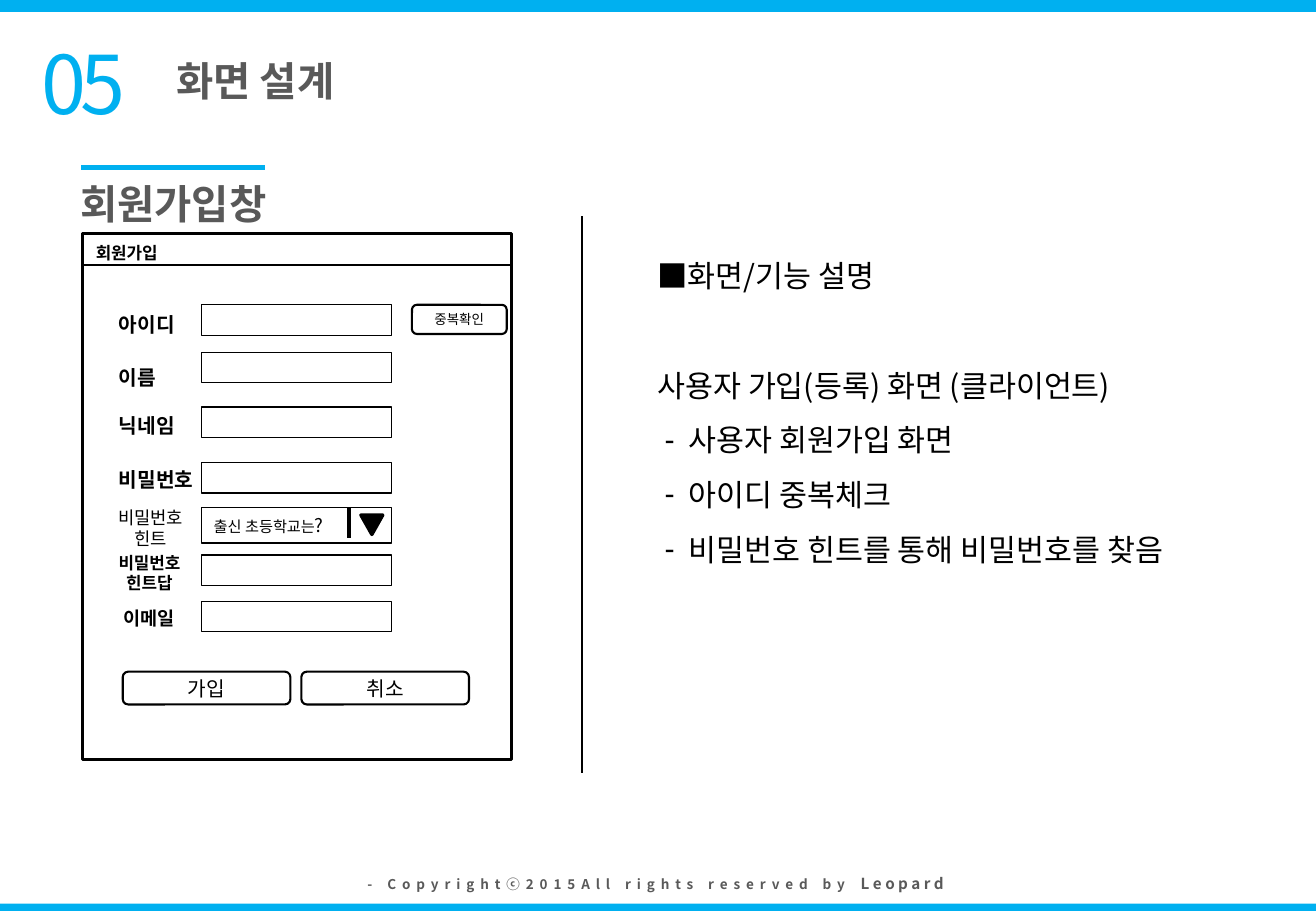
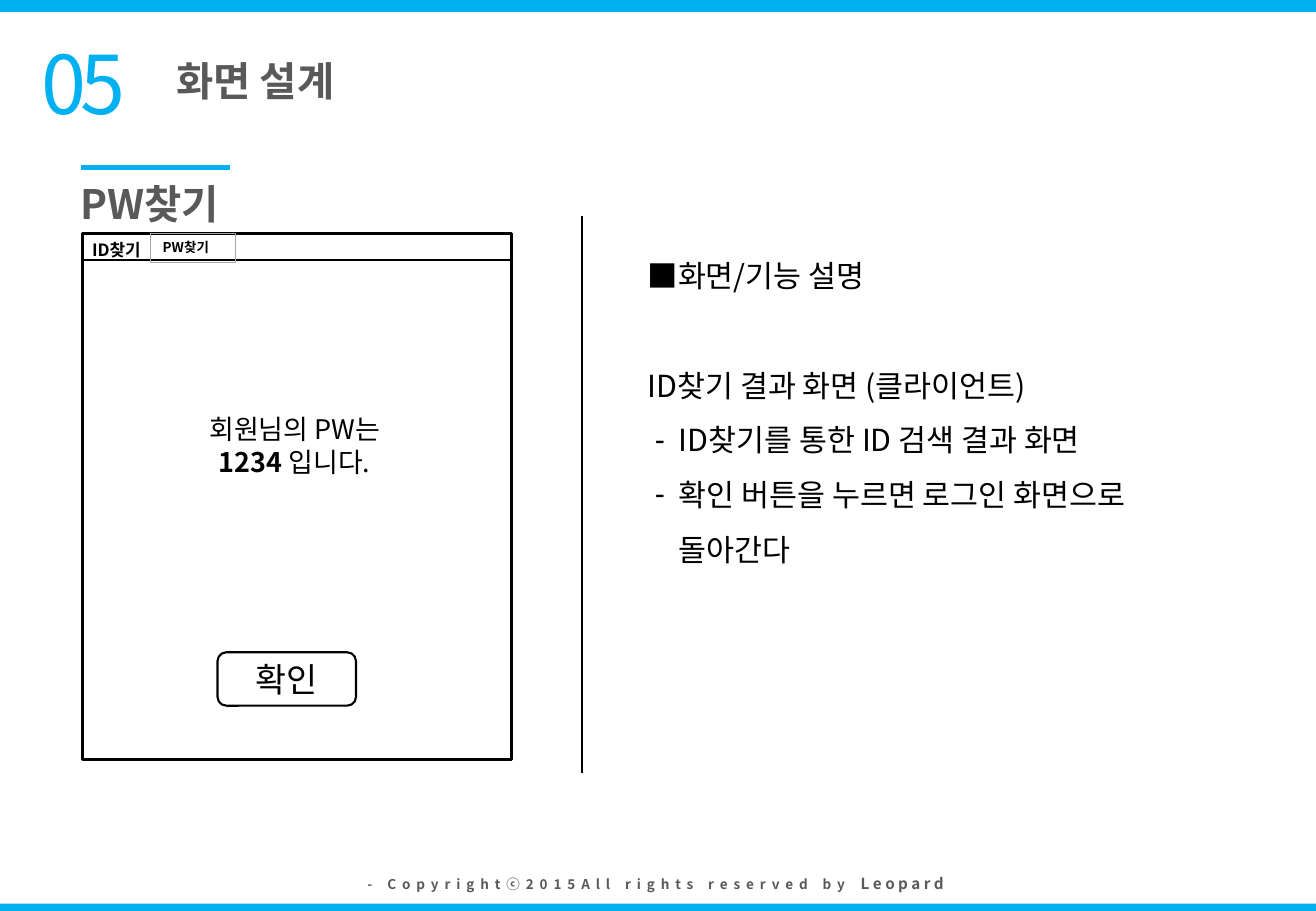
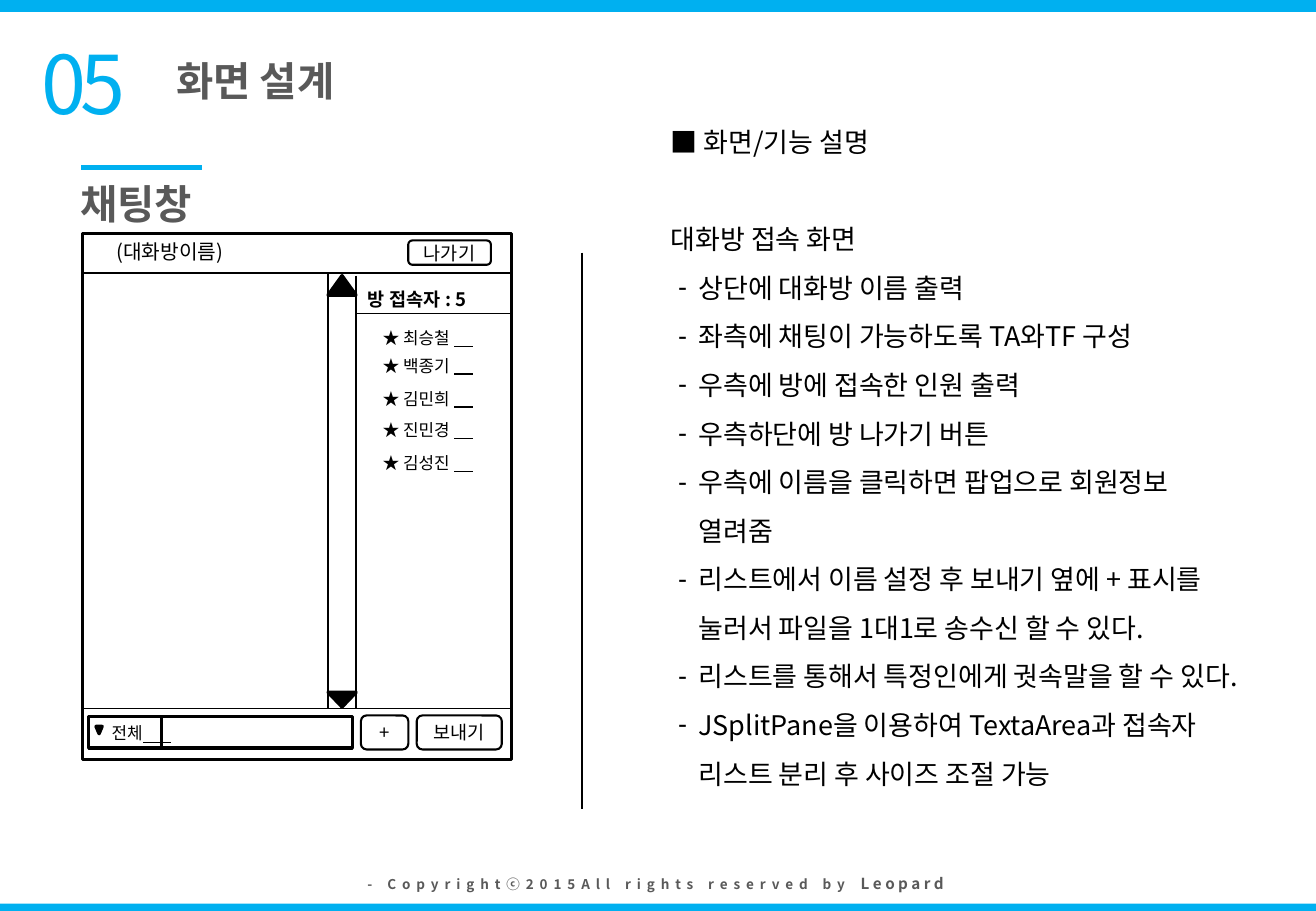
from dataclasses import dataclass
from typing import Callable

import lxml.etree
import pptx
import pptx.dml.color
import pptx.enum.shapes
import pptx.enum.text
import pptx.oxml.ns
import pptx.presentation
import pptx.shapes.autoshape
import pptx.slide
import pptx.text.text
import pptx.util

Inches = pptx.util.Inches
Pt = pptx.util.Pt
Slide = pptx.slide.Slide
Shape = pptx.shapes.autoshape.Shape
Kind = pptx.enum.shapes.MSO_SHAPE
Align = pptx.enum.text.PP_ALIGN
Anchor = pptx.enum.text.MSO_ANCHOR
qn = pptx.oxml.ns.qn

COLORS = {"accent": "00B0F0", "heading": "595959", "ink": "000000",
          "paper": "FFFFFF", "tab": "A6A6A6"}
FONT = "Noto Sans CJK KR"
LINE_HEIGHT = 1.2
WIDE = 1.5
HEADING_INSETS = (0.12, 0.06)
LABEL_INSETS = (0.1, 0.05)
FRAME_TOP, FRAME_HEIGHT = 1.92, 4.33
DIVIDER_LEFT, DIVIDER_HEIGHT = 4.79, 4.58


@dataclass(frozen=True)
class Box:
    left: float
    top: float
    width: float
    height: float

    def lengths(self) -> tuple:
        return tuple(Inches(value) for value in (self.left, self.top, self.width, self.height))


@dataclass(frozen=True)
class Span:
    text: str
    size: float
    bold: bool = False
    color: str = "ink"
    tracking: float = 0


@dataclass(frozen=True)
class Caption:
    box: Box
    lines: tuple[str, ...]
    size: float
    bold: bool = True
    align: Align = Align.LEFT


@dataclass(frozen=True)
class Button:
    box: Box
    text: str
    size: float


@dataclass(frozen=True)
class Rule:
    start: tuple[float, float]
    end: tuple[float, float]
    weight: float = 0.75
    color: str = "ink"


@dataclass(frozen=True)
class Screen:
    name: str
    name_rule_end: float
    divider_top: float
    text_box: Box
    text_size: float
    heading: str
    intro: str
    points: tuple[str, ...]
    draw_mockup: Callable[[Slide], None]


def rgb(name: str) -> pptx.dml.color.RGBColor:
    return pptx.dml.color.RGBColor.from_string(COLORS[name])


def add_span(paragraph: pptx.text.text._Paragraph, span: Span) -> None:
    run = paragraph.add_run()
    run.text = span.text
    run.font.name = FONT
    run.font.size = Pt(span.size)
    run.font.bold = span.bold
    run.font.color.rgb = rgb(span.color)
    properties = run._r.get_or_add_rPr()
    lxml.etree.SubElement(properties, qn("a:ea")).set("typeface", FONT)
    if span.tracking:
        properties.set("spc", str(round(span.tracking * 100)))


def write(shape: Shape, lines: list[list[Span]], align: Align = Align.LEFT,
          anchor: Anchor = Anchor.TOP, insets: tuple[float, float] = LABEL_INSETS,
          spacing: float = 1) -> None:
    """Fill a shape with one paragraph per line, at a fixed line pitch."""
    frame = shape.text_frame
    frame.word_wrap = True
    frame.auto_size = pptx.enum.text.MSO_AUTO_SIZE.NONE
    frame.vertical_anchor = anchor
    frame.margin_left = frame.margin_right = Inches(insets[0])
    frame.margin_top = frame.margin_bottom = Inches(insets[1])
    for index, spans in enumerate(lines):
        paragraph = frame.add_paragraph() if index else frame.paragraphs[0]
        paragraph.alignment = align
        paragraph.space_before = Pt(0)
        largest = max(span.size for span in spans)
        paragraph.line_spacing = Pt(largest * LINE_HEIGHT * spacing)
        for span in spans:
            add_span(paragraph, span)


def set_bullet(paragraph: pptx.text.text._Paragraph, character: str,
               margin: float, indent: float) -> None:
    """Set the bullet; an empty character turns it off."""
    properties = paragraph._p.get_or_add_pPr()
    properties.set("marL", str(Inches(margin)))
    properties.set("indent", str(Inches(indent)))
    if character:
        lxml.etree.SubElement(properties, qn("a:buChar")).set("char", character)
    else:
        lxml.etree.SubElement(properties, qn("a:buNone"))


def place(shape: Shape, box: Box) -> None:
    shape.left, shape.top, shape.width, shape.height = box.lengths()


def add_text(slide: Slide, box: Box, lines: list[list[Span]], **options) -> None:
    write(slide.shapes.add_textbox(*box.lengths()), lines, **options)


def add_caption(slide: Slide, caption: Caption) -> None:
    lines = [[Span(line, caption.size, caption.bold)] for line in caption.lines]
    add_text(slide, caption.box, lines, align=caption.align)


def add_figure(slide: Slide, kind: Kind, box: Box, fill: str = "", line: str = "ink",
               weight: float = 0.75) -> Shape:
    shape = slide.shapes.add_shape(kind, *box.lengths())
    shape.shadow.inherit = False
    if fill:
        shape.fill.solid()
        shape.fill.fore_color.rgb = rgb(fill)
    else:
        shape.fill.background()
    if line:
        shape.line.color.rgb = rgb(line)
        shape.line.width = Pt(weight)
    else:
        shape.line.fill.background()
    return shape


def add_button(slide: Slide, button: Button) -> None:
    shape = add_figure(slide, Kind.ROUNDED_RECTANGLE, button.box, "paper", weight=1.25)
    write(shape, [[Span(button.text, button.size)]], Align.CENTER, Anchor.MIDDLE)


def add_arrow_mark(slide: Slide, box: Box, down: bool = True) -> None:
    shape = add_figure(slide, Kind.ISOSCELES_TRIANGLE, box, "ink", weight=2)
    shape.rotation = 180 if down else 0


def add_rule(slide: Slide, rule: Rule) -> None:
    ends = [Inches(value) for value in (*rule.start, *rule.end)]
    connector = slide.shapes.add_connector(pptx.enum.shapes.MSO_CONNECTOR.STRAIGHT, *ends)
    connector.line.color.rgb = rgb(rule.color)
    connector.line.width = Pt(rule.weight)
    lxml.etree.SubElement(connector.element.spPr, qn("a:effectLst"))


def add_window(slide: Slide, bar_bottom: float) -> None:
    """Draw the window frame and the line under its title bar."""
    box = Box(0.68, FRAME_TOP, 3.53, FRAME_HEIGHT)
    add_figure(slide, Kind.RECTANGLE, box, "paper", weight=1.75)
    add_rule(slide, Rule((0.68, bar_bottom), (4.21, bar_bottom), 1.25))


def draw_sign_up(slide: Slide) -> None:
    add_window(slide, 2.18)
    for caption in (
        Caption(Box(0.69, 1.95, 0.97, 0.27), ("회원가입",), 10),
        Caption(Box(0.88, 2.52, 1.02, 0.25), ("아이디",), 12),
        Caption(Box(0.88, 2.96, 0.78, 0.25), ("이름",), 12),
        Caption(Box(0.88, 3.35, 1.02, 0.25), ("닉네임",), 12),
        Caption(Box(0.88, 3.8, 1.02, 0.25), ("비밀번호",), 12),
        Caption(Box(0.74, 4.12, 1, 0.47), ("비밀번호", "힌트"), 10.5, False, Align.CENTER),
        Caption(Box(0.73, 4.5, 1, 0.44), ("비밀번호", "힌트답"), 10, True, Align.CENTER),
        Caption(Box(0.92, 4.95, 1.02, 0.29), ("이메일",), 11),
    ):
        add_caption(slide, caption)
    for top in (2.51, 2.9, 3.35, 3.81, 4.57, 4.95):
        add_figure(slide, Kind.RECTANGLE, Box(1.66, top, 1.56, 0.25))
    hint_list = add_figure(slide, Kind.RECTANGLE, Box(1.66, 4.18, 1.56, 0.29))
    write(hint_list, [[Span("출신 초등학교는", 9), Span("?", 11)]], anchor=Anchor.MIDDLE)
    add_rule(slide, Rule((2.87, 4.18), (2.87, 4.43), 2.25))
    add_arrow_mark(slide, Box(2.97, 4.24, 0.18, 0.16))
    for button in (
        Button(Box(3.39, 2.51, 0.78, 0.24), "중복확인", 8),
        Button(Box(1.01, 5.53, 1.38, 0.27), "가입", 12),
        Button(Box(2.48, 5.53, 1.38, 0.27), "취소", 12),
    ):
        add_button(slide, button)


def draw_password_result(slide: Slide) -> None:
    add_window(slide, 2.14)
    add_caption(slide, Caption(Box(0.66, 1.92, 0.7, 0.22), ("ID찾기",), 10))
    tab = add_figure(slide, Kind.RECTANGLE, Box(1.24, 1.92, 0.7, 0.24), line="tab")
    write(tab, [[Span("PW찾기", 8, True)]])
    add_text(slide, Box(0.66, 3.35, 3.53, 0.64),
             [[Span("회원님의 PW는", 16)], [Span("1234 ", 16, True), Span("입니다.", 16)]],
             align=Align.CENTER)
    add_button(slide, Button(Box(1.79, 5.37, 1.14, 0.44), "확인", 20))


def draw_chat(slide: Slide) -> None:
    add_window(slide, 2.25)
    add_caption(slide, Caption(Box(0.86, 1.92, 1.83, 0.3), ("(대화방이름)",), 12, False))
    add_caption(slide, Caption(Box(2.93, 2.32, 1.21, 0.24), ("방 접속자 : 5",), 11))
    for rule in (
        Rule((2.7, 2.25), (2.7, 5.83)),
        Rule((2.93, 2.27), (2.93, 5.83)),
        Rule((0.68, 5.83), (4.21, 5.83)),
        Rule((2.93, 2.58), (4.21, 2.58)),
    ):
        add_rule(slide, rule)
    add_arrow_mark(slide, Box(2.7, 2.27, 0.23, 0.16), down=False)
    add_arrow_mark(slide, Box(2.7, 5.7, 0.23, 0.12))

    members = {"최승철": 2.65, "백종기": 2.88, "김민희": 3.15, "진민경": 3.41, "김성진": 3.68}
    for member, top in members.items():
        add_caption(slide, Caption(Box(3.05, top, 1.01, 0.23), (f"★ {member}",), 10, False))
        add_rule(slide, Rule((3.74, top + 0.2), (3.89, top + 0.2)))

    for left, width in ((0.73, 2), (1.33, 1.57)):
        add_figure(slide, Kind.RECTANGLE, Box(left, 5.9, width, 0.26), "paper", weight=2)
    add_arrow_mark(slide, Box(0.79, 5.98, 0.05, 0.06))
    add_caption(slide, Caption(Box(0.82, 5.9, 0.9, 0.23), ("전체",), 10, False))
    add_rule(slide, Rule((1.18, 6.11), (1.41, 6.11)))
    for button in (
        Button(Box(3.36, 1.98, 0.68, 0.2), "나가기", 11),
        Button(Box(2.97, 5.89, 0.39, 0.28), "+", 11),
        Button(Box(3.43, 5.89, 0.7, 0.28), "보내기", 11),
    ):
        add_button(slide, button)


def add_description(slide: Slide, screen: Screen) -> None:
    """Put the description into the body placeholder."""
    body = slide.placeholders[1]
    place(body, screen.text_box)
    texts = (screen.heading, screen.intro, *screen.points)
    write(body, [[Span(text, screen.text_size)] for text in texts], spacing=WIDE)
    for index, paragraph in enumerate(body.text_frame.paragraphs):
        if index == 1:
            paragraph.space_before = paragraph.line_spacing
        if index < 2:
            set_bullet(paragraph, "", 0, 0)
        else:
            margin = screen.text_size / 70
            set_bullet(paragraph, "-", margin, 0.06 - margin)


def add_shared_parts(slide: Slide) -> None:
    title = slide.shapes.title
    panel = add_figure(slide, Kind.RECTANGLE, Box(0, 0.1, 10.83, 7.34), "paper", line="")
    title.element.addprevious(panel.element)
    place(title, Box(1.33, 0.2, 3.93, 0.65))
    write(title, [[Span("화면 설계", 24, True, "heading")]],
          insets=HEADING_INSETS, spacing=WIDE)
    add_text(slide, Box(0.22, 0.22, 1.78, 0.93), [[Span("05", 48, False, "accent", -3.5)]],
             insets=HEADING_INSETS)
    add_text(slide, Box(2.49, 7.14, 5.81, 0.27),
             [[Span("- Copyrightⓒ2015All rights reserved by ", 8, True, "heading", 3.5),
               Span("L e o p a r d", 9, True, "heading")]],
             align=Align.CENTER, insets=HEADING_INSETS)


def add_screen(presentation: pptx.presentation.Presentation, screen: Screen) -> None:
    slide = presentation.slides.add_slide(presentation.slide_layouts[1])
    add_shared_parts(slide)
    add_description(slide, screen)
    add_rule(slide, Rule((DIVIDER_LEFT, screen.divider_top),
                         (DIVIDER_LEFT, screen.divider_top + DIVIDER_HEIGHT)))
    add_text(slide, Box(0.54, 1.21, 3.93, 0.65), [[Span(screen.name, 24, True, "heading")]],
             insets=HEADING_INSETS, spacing=WIDE)
    add_rule(slide, Rule((0.67, 1.38), (screen.name_rule_end, 1.38), 3, "accent"))
    screen.draw_mockup(slide)


SCREENS = (
    Screen("회원가입창", 2.18, 1.78, Box(5.31, 1.92, 4.99, 2.83), 18,
           "■화면/기능 설명", "사용자 가입(등록) 화면 (클라이언트)",
           ("사용자 회원가입 화면", "아이디 중복체크", "비밀번호 힌트를 통해 비밀번호를 찾음"),
           draw_sign_up),
    Screen("PW찾기", 1.89, 1.78, Box(5.23, 1.92, 4.65, 2.83), 18,
           "■화면/기능 설명", "ID찾기 결과 화면 (클라이언트)",
           ("ID찾기를 통한 ID 검색 결과 화면", "확인 버튼을 누르면 로그인 화면으로 돌아간다"),
           draw_password_result),
    Screen("채팅창", 1.66, 2.08, Box(5.42, 0.85, 4.88, 6.16), 16,
           "■ 화면/기능 설명", "대화방 접속 화면",
           ("상단에 대화방 이름 출력",
            "좌측에 채팅이 가능하도록 TA와TF 구성",
            "우측에 방에 접속한 인원 출력",
            "우측하단에 방 나가기 버튼",
            "우측에 이름을 클릭하면 팝업으로 회원정보 열려줌",
            "리스트에서 이름 설정 후 보내기 옆에 + 표시를 눌러서 파일을 1대1로 송수신 할 수 있다.",
            "리스트를 통해서 특정인에게 궛속말을 할 수 있다.",
            "JSplitPane을 이용하여 TextaArea과 접속자 리스트 분리 후 사이즈 조절 가능"),
           draw_chat),
)


def main() -> None:
    presentation = pptx.Presentation()
    presentation.slide_width = Inches(10.83)
    presentation.slide_height = Inches(7.5)
    background = presentation.slide_master.background.fill
    background.solid()
    background.fore_color.rgb = rgb("accent")
    for screen in SCREENS:
        add_screen(presentation, screen)
    presentation.save("out.pptx")


if __name__ == "__main__":
    main()
